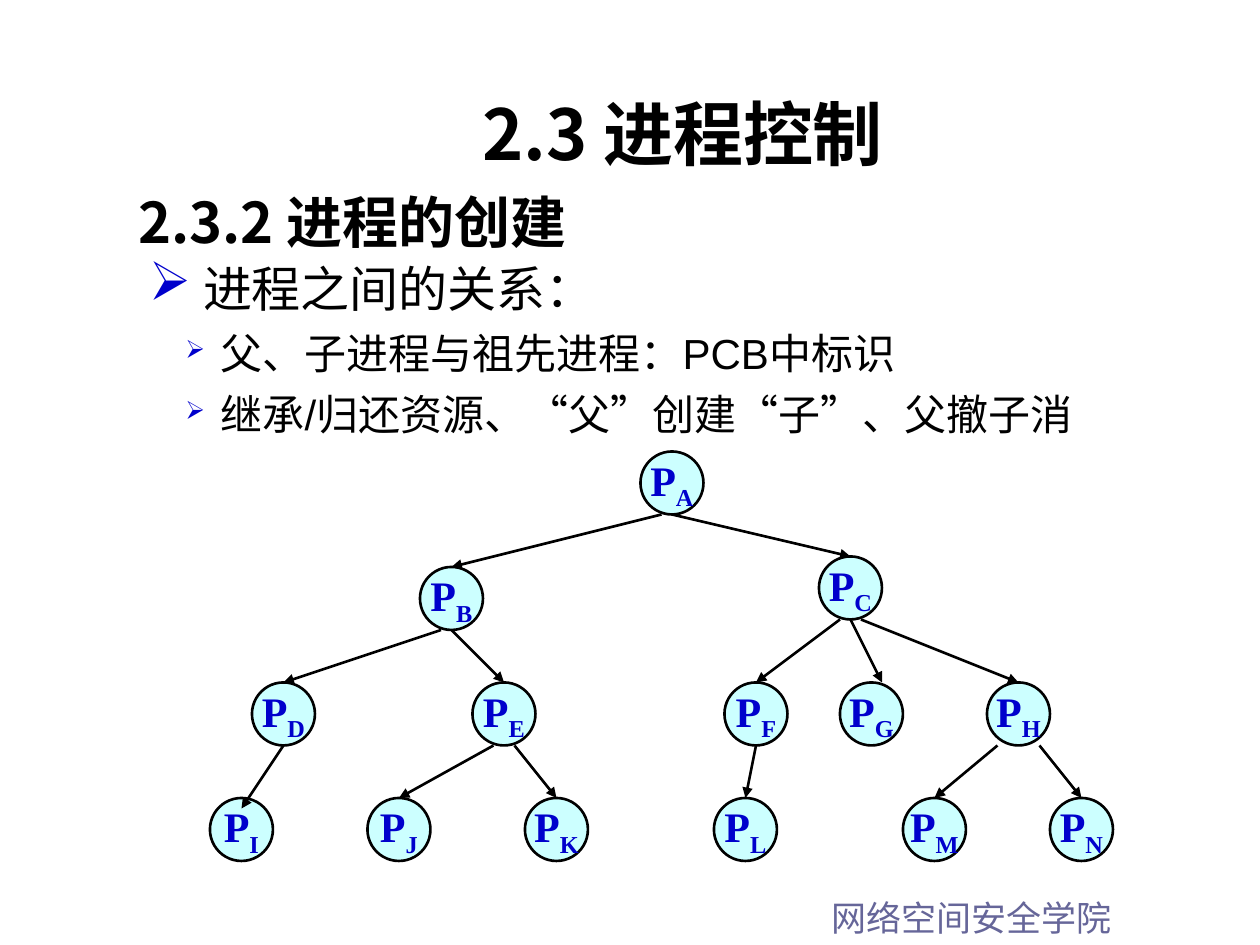
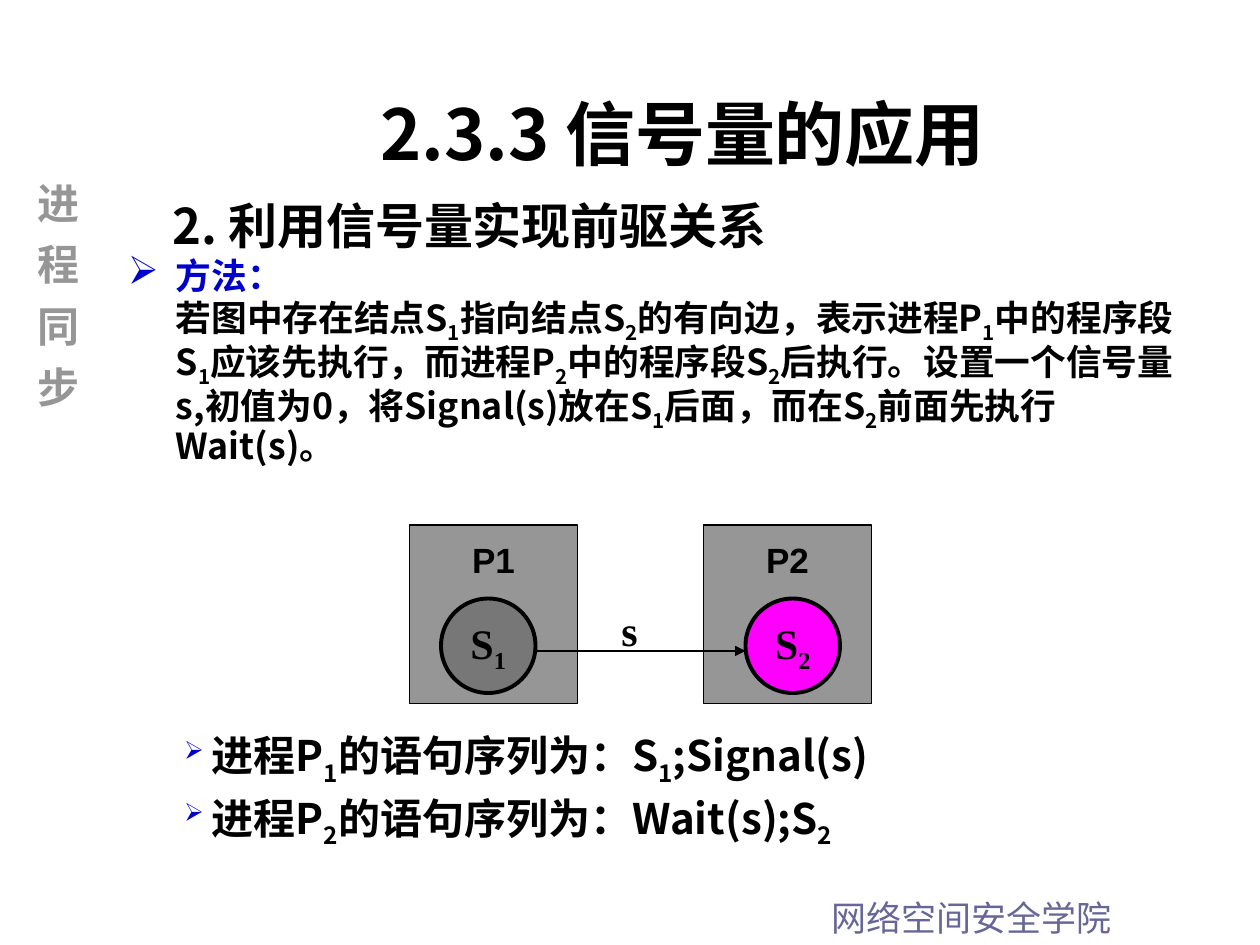
"""Two lecture slides: the process tree and semaphore ordering."""
from dataclasses import dataclass
from itertools import groupby

from lxml import etree
from pptx import Presentation
from pptx.dml.color import RGBColor
from pptx.enum import shapes, text
from pptx.oxml import ns
from pptx.util import Emu, Inches, Pt

COLS, ROWS = 120, 90
LEFT, MID = text.PP_ALIGN.LEFT, text.PP_ALIGN.CENTER
TOP, CORE = text.MSO_ANCHOR.TOP, text.MSO_ANCHOR.MIDDLE
OVAL, RECT = shapes.MSO_SHAPE.OVAL, shapes.MSO_SHAPE.RECTANGLE


@dataclass(frozen=True)
class Theme:
    """Colours, fonts and type sizes."""
    ink: str = "000000"
    blue: str = "0000CC"
    foot: str = "666699"
    pale: str = "CCFFFF"
    grey: str = "969696"
    dark: str = "777777"
    pink: str = "FF00FF"
    sans: str = "Arial"
    serif: str = "Times New Roman"
    han: str = "Noto Sans CJK SC"
    kan: str = "Noto Sans CJK JP"
    huge: float = 40
    head: float = 32
    large: float = 28
    mid: float = 24
    note: float = 20.4
    small: float = 20


T = Theme()


def add(node, tag, **attrs):
    """Append a DrawingML child element."""
    child = etree.SubElement(node, ns.qn("a:" + tag))
    for key, value in attrs.items():
        child.set(key, str(value))
    return child


def write(para, words, size=T.mid, font=T.han, color=T.ink, bold=False,
          align=LEFT, before=0, line=None, left=0, hang=0, dot=0, track=0):
    """Fill a paragraph; an underscore makes the next character a subscript."""
    props = para._p.get_or_add_pPr()
    props.set("marL", str(Inches(left)))
    props.set("indent", str(-Inches(hang)))
    if dot:
        add(add(props, "buClr"), "srgbClr", val=T.blue)
        add(props, "buSzPct", val=dot * 1000)
        add(props, "buChar", char="➢")
    para.alignment = align
    para.space_before = Pt(before)
    if line:
        para.line_spacing = line
    first, *rest = words.split("_")
    parts = [(first, False)]
    for piece in rest:
        parts += [(piece[0], True), (piece[1:], False)]
    for part, low in parts:
        for quote, chars in groupby(part, lambda c: c in "“”"):
            run = para.add_run()
            run.text = "".join(chars)
            face = run.font
            face.size, face.bold = Pt(size), bold
            face.name = T.serif if quote else font
            face.color.rgb = RGBColor.from_string(color)
            tags = run._r.get_or_add_rPr()
            add(tags, "ea", typeface=font if "CJK" in font else T.han)
            if low:
                tags.set("baseline", "-25000")
            if track:
                tags.set("spc", str(track * 100))


class Deck:
    """Holds the deck, its grid and the current slide."""

    def __init__(self):
        """Open a deck of ten by seven and a half inches."""
        self.deck = Presentation()
        self.deck.slide_width, self.deck.slide_height = Inches(10), Inches(7.5)
        self.slide = None

    def pos(self, col, row):
        """Turn columns and rows into lengths."""
        return (Emu(round(self.deck.slide_width * col / COLS)),
                Emu(round(self.deck.slide_height * row / ROWS)))

    def page(self, title):
        """Start a slide with its title and footer."""
        self.slide = self.deck.slides.add_slide(self.deck.slide_layouts[6])
        self.box((78, 84.8, 42, 5.3), "网络空间安全学院", size=T.small,
                 font=T.kan, color=T.foot)
        self.box((17, 8, 96, 9.2), title, size=T.huge, font=T.kan,
                 bold=True, align=MID)

    def box(self, area, words="", wrap=True, **style):
        """Add a text box and return its frame."""
        shape = self.slide.shapes.add_textbox(
            *self.pos(*area[:2]), *self.pos(*area[2:]))
        frame = shape.text_frame
        frame.word_wrap = wrap
        if words:
            write(frame.paragraphs[0], words, **style)
        return frame

    def list(self, area, items):
        """Add a text box with one paragraph per words and style pair."""
        frame = self.box(area)
        for num, (words, style) in enumerate(items):
            para = frame.add_paragraph() if num else frame.paragraphs[0]
            write(para, words, **({} if num else {"before": 0}) | style)

    def side(self, area, words, **style):
        """Add a column of upright vertical text."""
        frame = self.box(area, words, **style)
        frame._txBody.bodyPr.set("vert", "eaVert")
        frame.margin_left = frame.margin_right = Inches(0.05)
        frame.margin_top = frame.margin_bottom = Inches(0.1)

    def shape(self, kind, area, words, fill, width, anchor=CORE, **style):
        """Add a filled, outlined and labelled shape."""
        shape = self.slide.shapes.add_shape(
            kind, *self.pos(*area[:2]), *self.pos(*area[2:]))
        shape.shadow.inherit = False
        shape.fill.solid()
        shape.fill.fore_color.rgb = RGBColor.from_string(fill)
        shape.line.color.rgb = RGBColor.from_string(T.ink)
        shape.line.width = Pt(width)
        frame = shape.text_frame
        frame.word_wrap, frame.vertical_anchor = False, anchor
        if anchor == TOP:
            frame.margin_top = Inches(0.11)
        write(frame.paragraphs[0], words, bold=True, align=MID, **style)
        return shape

    def arrow(self, start, end, width, goal=None):
        """Add an arrow, joined to the top of a goal if given."""
        line = self.slide.shapes.add_connector(
            shapes.MSO_CONNECTOR.STRAIGHT, *self.pos(*start), *self.pos(*end))
        if goal is not None:
            line.end_connect(goal, 0)
        line.line.color.rgb = RGBColor.from_string(T.ink)
        line.line.width = Pt(width)
        add(line.line._get_or_add_ln(), "tailEnd", type="triangle")
        add(line._element.spPr, "effectLst")


def tree(deck):
    """Build the slide on process creation."""
    deck.page("2.3 进程控制")
    deck.box((12, 16, 103, 9), "2.3.2 进程的创建", size=T.head, bold=True,
             line=1.2, left=0.5, hang=0.5)
    sub = dict(font=T.sans, before=6, left=0.57, hang=0.28, dot=60)
    deck.list((13, 24, 101, 18.5), [
        ("进程之间的关系：", dict(size=T.large, font=T.sans, left=0.43,
                           hang=0.43, dot=110)),
        ("父、子进程与祖先进程：PCB中标识", sub),
        ("继承/归还资源、“父”创建“子”、父撤子消", sub)])
    size = 6
    spots = dict(A=(61, 43), B=(40, 54), C=(78, 53))
    for row, names, cols in ((65, "DEFGH", (24, 45, 69, 80, 94)),
                             (76, "IJKLMN", (20, 35, 50, 68, 86, 100))):
        spots |= {name: (col, row) for name, col in zip(names, cols)}
    nodes = {name: deck.shape(OVAL, (*spot, size, size), f"P_{name}", T.pale,
                              1.5, font=T.serif, color=T.blue)
             for name, spot in spots.items()}
    shifts = dict(G=(1, 0), I=(0, 1))
    for pair, off in dict(AB=-1, AC=0, BD=-1, BE=0, CF=-1, CG=0, CH=1, DI=0,
                          EJ=-1, EK=1, FL=0, HM=-2, HN=2).items():
        up, down = pair
        (col, row), (x, y) = spots[up], spots[down]
        dx, dy = shifts.get(down, (0, 0))
        deck.arrow((col + size / 2 + off, row + size),
                   (x + size / 2 + dx, y + dy), 1.5,
                   None if down in shifts else nodes[down])


def order(deck):
    """Build the slide on semaphores."""
    deck.page("2.3.3 信号量的应用")
    deck.box((15.25, 18, 70, 6.8), "2. 利用信号量实现前驱关系",
             size=T.large, bold=True)
    body = dict(size=T.note, bold=True, left=0.38)
    deck.list((11, 24.4, 104, 24.6), [
        ("方法：", dict(body, color=T.blue, line=0.8, hang=0.38, dot=110)),
        ("若图中存在结点S_1指向结点S_2的有向边，表示进程P_1中的程序段S_1"
         "应该先执行，而进程P_2中的程序段S_2后执行。设置一个信号量s,初值为0，"
         "将Signal(s)放在S_1后面，而在S_2前面先执行Wait(s)。",
         dict(body, line=0.9))])
    for num, left, ring, fill in ((1, 39, 42, T.dark), (2, 67, 71, T.pink)):
        deck.shape(RECT, (left, 50, 16, 17), f"P{num}", T.grey, 0.75, TOP,
                   size=T.small, font=T.sans)
        deck.shape(OVAL, (ring, 57, 9, 9), f"S_{num}", fill, 2.25,
                   font=T.serif)
    deck.arrow((51, 62), (71, 62), 0.75)
    deck.box((58, 57, 4, 6), "s", wrap=False, font=T.serif, bold=True)
    step = dict(bold=True, line=0.9, left=0.5, hang=0.22, dot=60)
    deck.list((13, 69, 93, 20), [
        ("进程P_1的语句序列为：S_1;Signal(s)", step),
        ("进程P_2的语句序列为：Wait(s);S_2", dict(step, before=6))])
    deck.side((1.2, 16.2, 7.2, 55), "进程同步", font=T.kan, color=T.grey,
              bold=True, align=MID, track=11)


def main():
    """Build and save the deck."""
    deck = Deck()
    tree(deck)
    order(deck)
    deck.deck.save("out.pptx")


if __name__ == "__main__":
    main()
